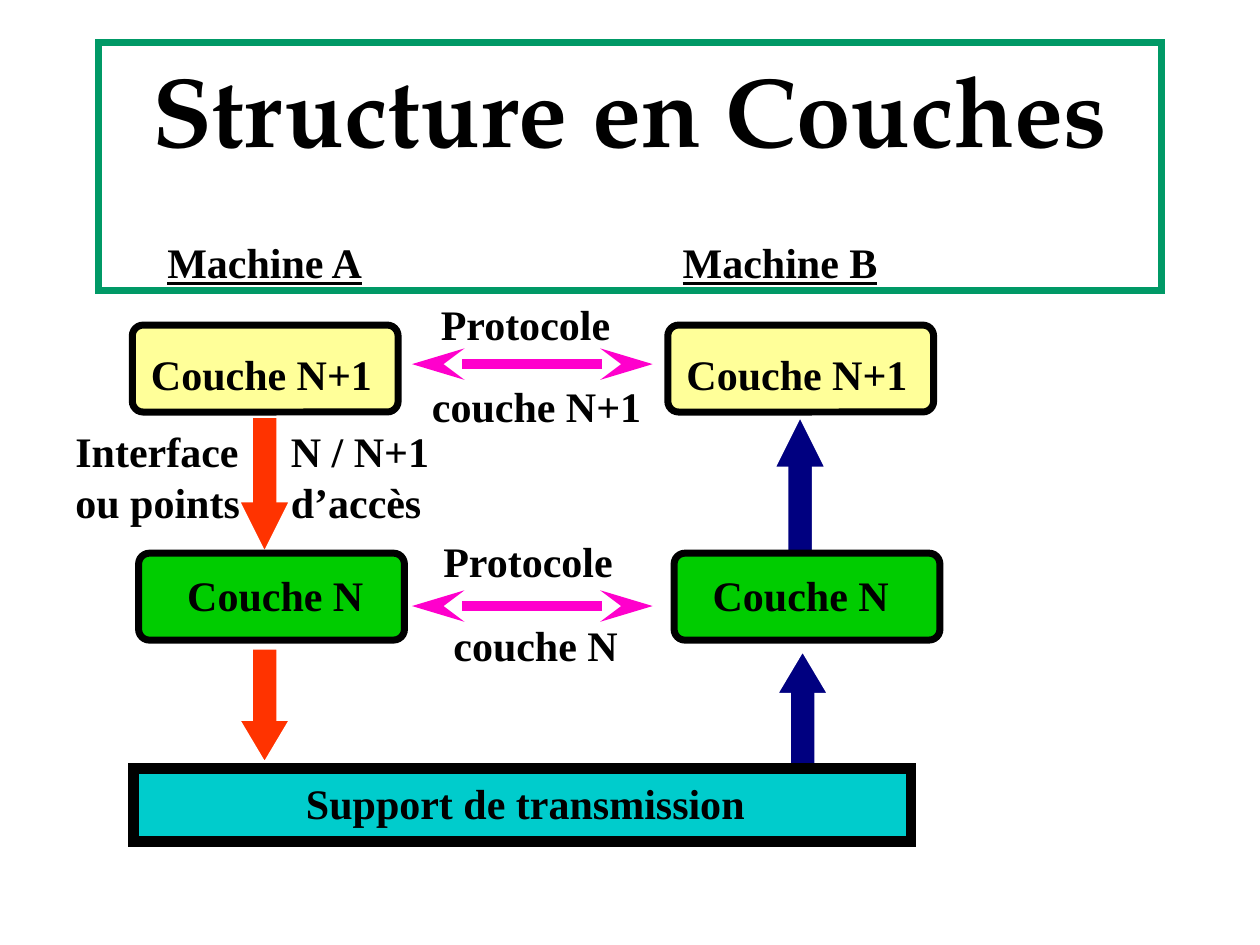
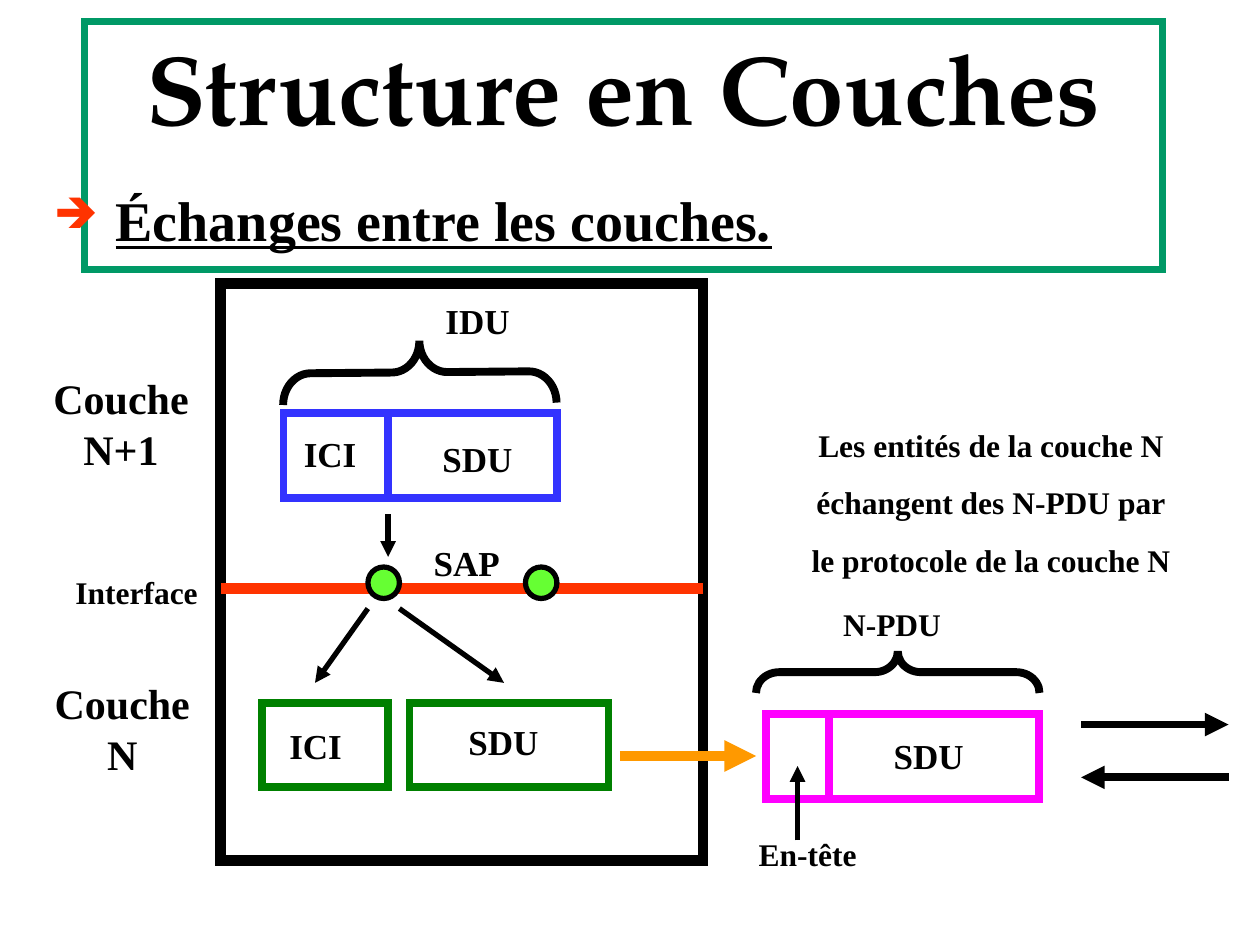
from lxml.etree import SubElement
from pptx import Presentation
from pptx.dml.color import RGBColor
from pptx.enum.shapes import MSO_CONNECTOR as Line, MSO_SHAPE as Shape
from pptx.enum.text import MSO_ANCHOR as Anchor, PP_ALIGN as Align
from pptx.oxml.ns import qn
from pptx.util import Pt

PX = 9144
WIDTH, HEIGHT = 1000, 750
BLACK, WHITE, RED, NAVY = "000000", "FFFFFF", "FF3300", "000080"
YELLOW, GREEN, CYAN, PINK = "FFFF99", "00CC00", "00CCCC", "FF00CC"
BLUE, DARK_GREEN, MAGENTA, ORANGE = "3333FF", "008000", "FF00FF", "FF9900"
LIME, TEAL = "66FF33", "009966"
BODY_FONT, TITLE_FONT = "Times New Roman", "TeX Gyre Pagella"
TITLE = "Structure en Couches"
TRIANGLE = dict(type="triangle")
STEALTH = dict(type="stealth", len="lg")

MACHINES = [
    dict(name="Machine A", name_box=(123, 183, 177, 50), x=105, n_label_x=135,
         arrow=Shape.DOWN_ARROW, color=RED, arrow_boxes=[(190, 331, 40, 107), (190, 515, 40, 90)]),
    dict(name="Machine B", name_box=(532, 183, 175, 50), x=530, n_label_x=552,
         arrow=Shape.UP_ARROW, color=NAVY, arrow_boxes=[(615, 331, 40, 107), (617, 517, 40, 90)]),
]
ARROW_HEADS = [1, 0.84]
LAYER_SIZE = (211, 69)
MEDIUM = (106, 610, 617, 58)
MEDIUM_LABEL = ("Support de transmission", (233, 612, 368, 50))
PROTOCOLS = [
    (289, ("Protocole", (340, 232, 155, 90)), ("couche N+1", (333, 297, 186, 50))),
    (481, ("Protocole", (342, 420, 155, 90)), ("couche N", (350, 487, 151, 50))),
]
ACCESS = ["Interface\tN / N+1", "ou points\td’accès"]
ACCESS_BOX = (50, 333, 301, 90)
ACCESS_TAB = 171

SUBTITLE = "Échanges entre les couches."
SUBTITLE_BOX = (33, 142, 850, 67)
FRAMES = [
    ((175, 225, 383, 458), BLACK, 6),
    ((225, 328, 217, 67), BLUE, 4.5),
    ((208, 558, 100, 67), DARK_GREEN, 4.5),
    ((325, 558, 158, 67), DARK_GREEN, 4.5),
    ((608, 567, 217, 67), MAGENTA, 4.5),
]
PLAIN_LINES = [
    ((558, 467, 175, 467), RED, 6),
    ((308, 328, 308, 395), BLUE, 4.5),
    ((658, 567, 658, 633), MAGENTA, 4.5),
]
ARROWS = [
    ((308, 408, 308, 442), BLACK, 3),
    ((292, 483, 250, 542), BLACK, 3),
    ((317, 483, 400, 542), BLACK, 3),
    ((633, 667, 633, 608), BLACK, 3),
    ((858, 575, 975, 575), BLACK, 4.5),
    ((975, 617, 858, 617), BLACK, 4.5),
    ((492, 600, 600, 600), ORANGE, 6),
]
ACCESS_POINTS = [(417, 450, 25, 25), (292, 450, 25, 25)]
BRACES = [((308, 187, 50, 217), 89.5, 0.44), ((696, 421, 33, 225), 90, 0.56)]
LABELS = {
    24: [(["Couche", "N+1"], (25, 291, 142, 90)), (["Couche", "N"], (26, 533, 142, 90))],
    20: [
        (["IDU"], (283, 233, 192, 44)),
        (["ICI"], (208, 338, 108, 44)),
        (["SDU"], (325, 342, 108, 44)),
        (["SAP"], (333, 425, 75, 44)),
        (["ICI"], (217, 570, 67, 44)),
        (["SDU"], (325, 567, 149, 44)),
        (["SDU"], (658, 578, 158, 44)),
    ],
    18: [
        (["Interface"], (50, 450, 117, 40)),
        (["En-tête"], (592, 658, 98, 40)),
        (["N-PDU"], (659, 475, 98, 40)),
        (["Les entités de la couche N", "échangent des N-PDU par",
          "le protocole de la couche N"], (634, 333, 305, 132)),
    ],
}
LABEL_GAPS = {24: 0, 20: 12.5, 18: 11.25}


def rgb(value):
    return RGBColor.from_string(value)


def emu(box):
    return [n * PX for n in box]


def add_shape(s, kind, box, fill=None, line=None, width=1, adjust=(), rotation=0):
    sp = s.shapes.add_shape(kind, *emu(box))
    sp.shadow.inherit = False
    sp.rotation = rotation
    for part, color in ((sp.fill, fill), (sp.line.fill, line)):
        if color:
            part.solid()
            part.fore_color.rgb = rgb(color)
        else:
            part.background()
    if line:
        sp.line.width = Pt(width)
        SubElement(sp.line._get_or_add_ln(), qn("a:miter"), lim="800000")
    for i, value in enumerate(adjust):
        sp.adjustments[i] = value
    return sp


def add_line(s, ends, color, width, head=None, tail=None):
    cx = s.shapes.add_connector(Line.STRAIGHT, *emu(ends))
    cx.line.color.rgb = rgb(color)
    cx.line.width = Pt(width)
    ln = cx.line._get_or_add_ln()
    for tag, look in (("a:headEnd", head), ("a:tailEnd", tail)):
        if look:
            SubElement(ln, qn(tag), **look)
    SubElement(cx._element.spPr, qn("a:effectLst"))


def write(sp, lines, size=24, align=Align.LEFT, gap=0, wrap=False, font=BODY_FONT, underline=False):
    tf = sp.text_frame
    tf.word_wrap = wrap
    tf.vertical_anchor = Anchor.TOP
    look = dict(name=font, size=Pt(size), bold=True, underline=underline)
    for i, text in enumerate(lines):
        p = tf.add_paragraph() if i else tf.paragraphs[0]
        p.alignment = align
        p.space_before = Pt(gap)
        r = p.add_run()
        r.text = text
        for name, value in look.items():
            setattr(r.font, name, value)
        r.font.color.rgb = rgb(BLACK)
    return tf.paragraphs


def add_label(s, lines, box, fill=None, **look):
    if fill:
        sp = add_shape(s, Shape.RECTANGLE, box, fill)
    else:
        sp = s.shapes.add_textbox(*emu(box))
    return write(sp, lines, **look)


def new_slide(prs, title_box):
    s = prs.slides.add_slide(prs.slide_layouts[6])
    sp = add_shape(s, Shape.RECTANGLE, title_box, line=TEAL, width=4)
    write(sp, [TITLE], size=56, align=Align.CENTER, wrap=True, font=TITLE_FONT)
    return s


def layers_slide(prs):
    s = new_slide(prs, (78, 34, 844, 197))
    for m in MACHINES:
        for box, head in zip(m["arrow_boxes"], ARROW_HEADS):
            add_shape(s, m["arrow"], box, m["color"], WHITE, 1, (0.5, head))
    add_shape(s, Shape.RECTANGLE, MEDIUM, CYAN, BLACK, 6)
    for m in MACHINES:
        x = m["x"]
        add_label(s, [m["name"]], m["name_box"], underline=True)
        for left, top, fill in ((x, 258, YELLOW), (x + 5, 439, GREEN)):
            add_shape(s, Shape.ROUNDED_RECTANGLE, (left, top, *LAYER_SIZE), fill, BLACK, 4, (0.125,))
        add_label(s, ["Couche N+1"], (x + 5, 272, 200, 50), YELLOW, wrap=True)
        add_label(s, ["Couche N"], (m["n_label_x"], 447, 167, 50), GREEN, align=Align.CENTER)
    for y, *labels in PROTOCOLS:
        add_line(s, (518, y, 327, y), PINK, 6, STEALTH, STEALTH)
        for text, box in labels:
            add_label(s, [text], box)
    text, box = MEDIUM_LABEL
    add_label(s, [text], box)
    for p in add_label(s, ACCESS, ACCESS_BOX, wrap=True):
        tabs = SubElement(p._p.get_or_add_pPr(), qn("a:tabLst"))
        SubElement(tabs, qn("a:tab"), pos=str(ACCESS_TAB * PX), algn="l")


def add_subtitle(s):
    p = add_label(s, [SUBTITLE], SUBTITLE_BOX, size=32, gap=8, wrap=True, underline=True)[0]
    ppr = p._p.get_or_add_pPr()
    ppr.set("marL", str(49 * PX))
    ppr.set("indent", str(-49 * PX))
    SubElement(SubElement(ppr, qn("a:buClr")), qn("a:srgbClr"), val=RED)
    SubElement(ppr, qn("a:buSzPct"), val="75000")
    SubElement(ppr, qn("a:buChar"), char="➔")


def exchanges_slide(prs):
    s = new_slide(prs, (67, 17, 856, 197))
    add_subtitle(s)
    for box, color, width in FRAMES:
        add_shape(s, Shape.RECTANGLE, box, line=color, width=width)
    for line in PLAIN_LINES:
        add_line(s, *line)
    for arrow in ARROWS:
        add_line(s, *arrow, tail=TRIANGLE)
    for box in ACCESS_POINTS:
        add_shape(s, Shape.OVAL, box, LIME, BLACK, 3)
    for box, angle, curl in BRACES:
        add_shape(s, Shape.LEFT_BRACE, box, None, BLACK, 4.5, (curl, 0.5), angle)
    for size, labels in LABELS.items():
        for lines, box in labels:
            add_label(s, lines, box, size=size, align=Align.CENTER, gap=LABEL_GAPS[size])


def main():
    prs = Presentation()
    prs.slide_width, prs.slide_height = emu((WIDTH, HEIGHT))
    layers_slide(prs)
    exchanges_slide(prs)
    prs.save("out.pptx")


if __name__ == "__main__":
    main()
